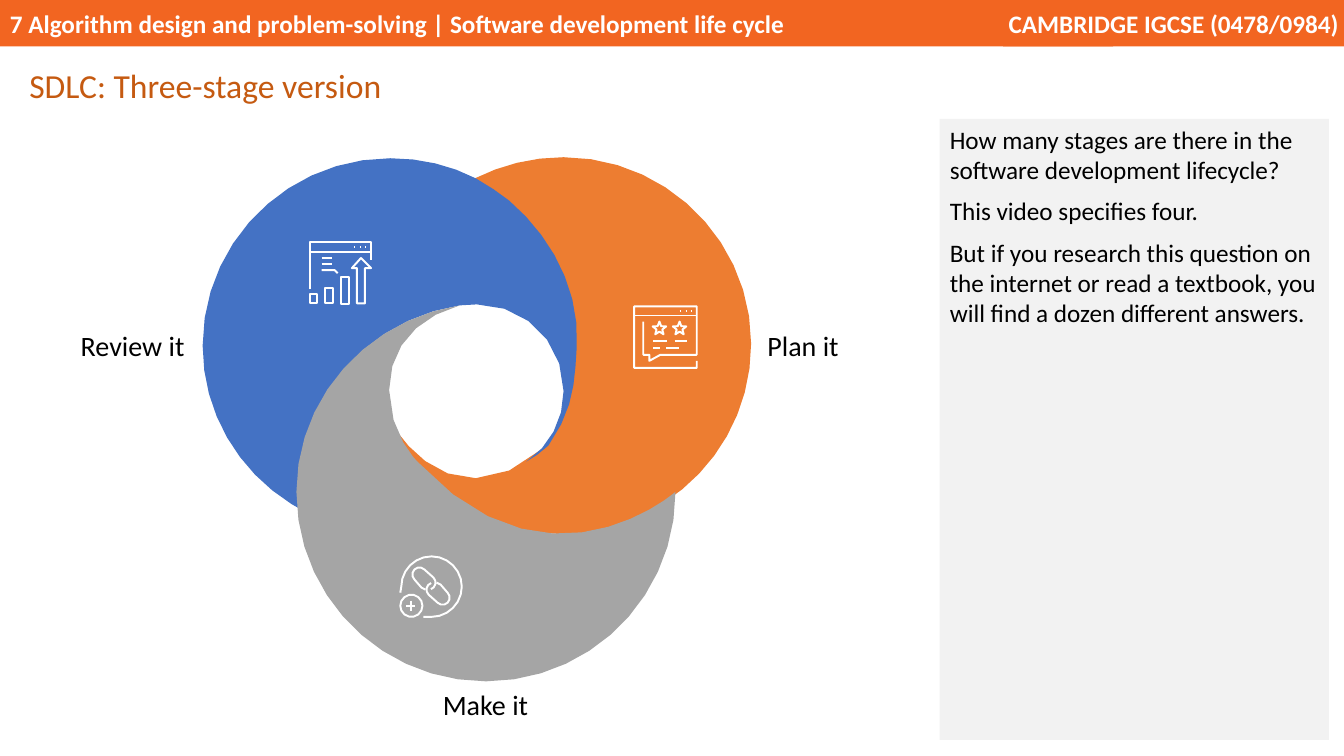
"""Build a slide on the three-stage software development life cycle."""
import math
import pptx
import pptx.dml.color
import pptx.enum.shapes
import pptx.enum.text
import pptx.util
from lxml import etree

Inches = pptx.util.Inches
RGBColor = pptx.dml.color.RGBColor
Align = pptx.enum.text.PP_ALIGN

BANNER = RGBColor(0xF2, 0x65, 0x21)
HEADING = RGBColor(0xC5, 0x5A, 0x11)
PANEL = RGBColor(0xF2, 0xF2, 0xF2)
ORANGE = RGBColor(0xED, 0x7D, 0x31)
BLUE = RGBColor(0x44, 0x72, 0xC4)
GRAY = RGBColor(0xA5, 0xA5, 0xA5)
WHITE = RGBColor(0xFF, 0xFF, 0xFF)
BLACK = RGBColor(0, 0, 0)

HEADING_TEXT = "SDLC: Three-stage version"
BANNERS = [
    ("7 Algorithm design and problem-solving | Software development life cycle",
     0, 11.04, Align.LEFT, 0.1, 0.1),
    ("CAMBRIDGE IGCSE (0478/0984)", 9.95, 3.38, Align.RIGHT, 0, 0.05),
]
STAGES = [("Plan it", 6.91, 3.21), ("Make it", 3.76, 6.77), ("Review it", 0.26, 3.21)]
DISCUSSION = [
    "How many stages are there in the software development lifecycle?",
    "This video specifies four.",
    "But if you research this question on the internet or read a textbook, "
    "you will find a dozen different answers.",
]
PETALS = [
    (ORANGE, (5.59, 1.56), [
        (5.27, 1.56, 4.97, 1.64, 4.71, 1.77), (4.83, 1.84, 4.94, 1.91, 5.04, 1.99),
        (5.45, 2.34, 5.75, 2.87, 5.71, 3.45), (5.69, 3.77, 5.69, 4.05, 5.43, 4.42),
        (4.49, 5.24, 3.92, 4.25, 3.92, 4.25), (4.02, 4.78, 4.69, 5.09, 4.69, 5.09),
        (4.94, 5.22, 5.28, 5.3, 5.59, 5.3), (5.95, 5.3, 6.29, 5.17, 6.58, 4.99),
        (7.1, 4.66, 7.45, 4.08, 7.45, 3.41), (7.45, 2.39, 6.61, 1.56, 5.59, 1.56)]),
    (BLUE, (4.56, 3.03), [
        (4.62, 3.02, 4.68, 3.02, 4.73, 3.02), (5.21, 3.02, 5.59, 3.4, 5.59, 3.88),
        (5.59, 4.17, 5.45, 4.43, 5.22, 4.58), (5.29, 4.54, 5.37, 4.49, 5.44, 4.42),
        (5.7, 4.05, 5.7, 3.77, 5.72, 3.45), (5.76, 2.87, 5.46, 2.34, 5.05, 1.99),
        (4.95, 1.91, 4.84, 1.84, 4.72, 1.77), (4.47, 1.64, 4.18, 1.57, 3.87, 1.57),
        (2.85, 1.57, 2.01, 2.4, 2.01, 3.43), (2.01, 4.09, 2.36, 4.67, 2.89, 5),
        (2.91, 5.02, 2.93, 5.03, 2.96, 5.04), (2.96, 4.99, 2.95, 4.93, 2.95, 4.88),
        (2.95, 3.94, 3.67, 3.16, 4.56, 3.03)]),
    (GRAY, (4.14, 4.58), [
        (4.14, 4.58, 3.86, 4.31, 3.86, 3.87), (3.86, 3.45, 4.13, 3.15, 4.56, 3.03),
        (3.65, 3.17, 2.94, 3.94, 2.94, 4.88), (2.94, 5.92, 3.78, 6.76, 4.82, 6.76),
        (5.86, 6.76, 6.7, 5.92, 6.7, 4.88), (6.7, 4.88, 5.44, 5.99, 4.14, 4.58)]),
]


def flatten(start, curves):
    points = [start]
    for x1, y1, x2, y2, x3, y3 in curves:
        x0, y0 = points[-1]
        steps = math.ceil(math.dist((x0, y0), (x3, y3)) / 0.25)
        for step in range(1, steps + 1):
            t = step / steps
            a, b, c, d = (1 - t) ** 3, 3 * t * (1 - t) ** 2, 3 * t * t * (1 - t), t ** 3
            points.append((a * x0 + b * x1 + c * x2 + d * x3,
                           a * y0 + b * y1 + c * y2 + d * y3))
    return points


def arc(cx, cy, radius, start, end, steps):
    angles = [math.radians(start + (end - start) * i / steps) for i in range(steps + 1)]
    return [(cx + radius * math.cos(a), cy + radius * math.sin(a)) for a in angles]


def box(left, top, right, bottom):
    return [(left, top), (right, top), (right, bottom), (left, bottom), (left, top)]


def dash(left, right, y):
    return [(left, y), (right, y)]


def star(cx, cy):
    tips, notches = arc(cx, cy, 0.07, -90, 270, 5), arc(cx, cy, 0.03, -54, 306, 5)
    return [point for pair in zip(tips, notches) for point in pair][:-1]


def window_dots(right, y):
    return [dash(right - gap, right - gap + 0.01, y) for gap in (0.06, 0.11, 0.17)]


def outline(strokes):
    scaled = [[(Inches(x), Inches(y)) for x, y in stroke] for stroke in strokes]
    builder = slide.shapes.build_freeform(*scaled[0][0])
    for index, stroke in enumerate(scaled):
        if index:
            builder.move_to(*stroke[0])
        builder.add_line_segments(stroke[1:], close=stroke[0] == stroke[-1])
    drawn = builder.convert_to_shape()
    drawn.shadow.inherit = False
    return drawn


def paint(shape, color):
    shape.fill.solid()
    shape.fill.fore_color.rgb = color
    shape.line.fill.background()


def write(paragraph, text, size, color, bold=False):
    run = paragraph.add_run()
    run.text = text
    run.font.name = "Calibri"
    run.font.size = pptx.util.Pt(size)
    run.font.bold = bold
    run.font.color.rgb = color


def place(shape, *bounds):
    shape.left, shape.top, shape.width, shape.height = map(Inches, bounds)
    shape.text_frame.auto_size = pptx.enum.text.MSO_AUTO_SIZE.NONE
    shape.text_frame.vertical_anchor = pptx.enum.text.MSO_ANCHOR.TOP


link = ([(4.22, 5.85), (4.18, 5.83)] + arc(4.16, 5.7, 0.07, 135, 315, 6)
        + arc(4.25, 5.78, 0.07, -45, 70, 4))
opposite_link = [(8.55 - x, 11.63 - y) for x, y in link]
review_icon = [
    [(3.07, 2.87), (3.07, 2.4), (3.68, 2.4), (3.68, 2.58)],
    dash(3.07, 3.68, 2.5), *window_dots(3.68, 2.45),
    box(3.07, 2.92, 3.14, 3.01), box(3.22, 2.86, 3.3, 3.01), box(3.38, 2.75, 3.46, 3.02),
    [(3.54, 3.01), (3.54, 2.66), (3.49, 2.66), (3.58, 2.56), (3.68, 2.66),
     (3.62, 2.66), (3.62, 3.01), (3.54, 3.01)],
    dash(3.19, 3.29, 2.56), dash(3.19, 3.29, 2.62),
    [(3.19, 2.68), (3.32, 2.68), (3.35, 2.71)],
]
plan_icon = [
    [(6.38, 3.19), (6.38, 3.52), (6.44, 3.52), (6.44, 3.58), (6.55, 3.52), (6.91, 3.52),
     (6.91, 3.04), (6.29, 3.04), (6.29, 3.65), (6.91, 3.65), (6.91, 3.58)],
    dash(6.29, 6.91, 3.13), *window_dots(6.91, 3.09), star(6.54, 3.26), star(6.74, 3.26),
    dash(6.48, 6.62, 3.38), dash(6.69, 6.81, 3.38),
    dash(6.48, 6.55, 3.45), dash(6.61, 6.73, 3.45),
]
make_icon = [
    [(4.2, 6.12)] + arc(4.28, 5.82, 0.3, 90, -180, 18) + [(3.97, 5.88)],
    arc(4.08, 6.01, 0.11, 0, 360, 14), dash(4.03, 4.12, 6.01),
    [(4.08, 5.96), (4.08, 6.06)], link, opposite_link,
]

deck = pptx.Presentation()
deck.slide_width, deck.slide_height = Inches(13.33), Inches(7.5)
slide = deck.slides.add_slide(deck.slide_layouts[1])
heading, panel = slide.placeholders

for text, left, width, align, inset_left, inset_right in BANNERS:
    banner = slide.shapes.add_shape(pptx.enum.shapes.MSO_SHAPE.RECTANGLE, Inches(left), 0,
                                    Inches(width), Inches(0.46))
    banner.shadow.inherit = False
    paint(banner, BANNER)
    frame = banner.text_frame
    frame.margin_left, frame.margin_right = Inches(inset_left), Inches(inset_right)
    frame.paragraphs[0].alignment = align
    write(frame.paragraphs[0], text, 18, WHITE, bold=True)
for color, start, curves in PETALS:
    paint(outline([flatten(start, curves)]), color)
for strokes in (review_icon, plan_icon, make_icon):
    icon = outline(strokes)
    icon.fill.background()
    icon.line.color.rgb = WHITE
    icon.line.width = pptx.util.Pt(1.4)

place(heading, 0.19, 0.57, 3.85, 0.51)
heading.text_frame.word_wrap = False
title_line = heading.text_frame.paragraphs[0]
title_line.alignment = Align.LEFT
title_line.line_spacing = 1.07
write(title_line, HEADING_TEXT, 24, HEADING)
for text, left, top in STAGES:
    label = slide.shapes.add_textbox(*map(Inches, (left, top, 2.11, 0.44)))
    label.text_frame.word_wrap = True
    label.text_frame.paragraphs[0].alignment = Align.CENTER
    write(label.text_frame.paragraphs[0], text, 20, BLACK)

place(panel, 9.32, 1.18, 3.86, 6.16)
paint(panel, PANEL)
for index, text in enumerate(DISCUSSION):
    frame = panel.text_frame
    answer = frame.add_paragraph() if index else frame.paragraphs[0]
    properties = answer._p.get_or_add_pPr()
    properties.set("marL", "0")
    properties.set("indent", "0")
    etree.SubElement(properties, pptx.oxml.ns.qn("a:buNone"))
    answer.space_before = pptx.util.Pt(0)
    answer.space_after = pptx.util.Pt(8)
    write(answer, text, 18, BLACK)

deck.save("out.pptx")
